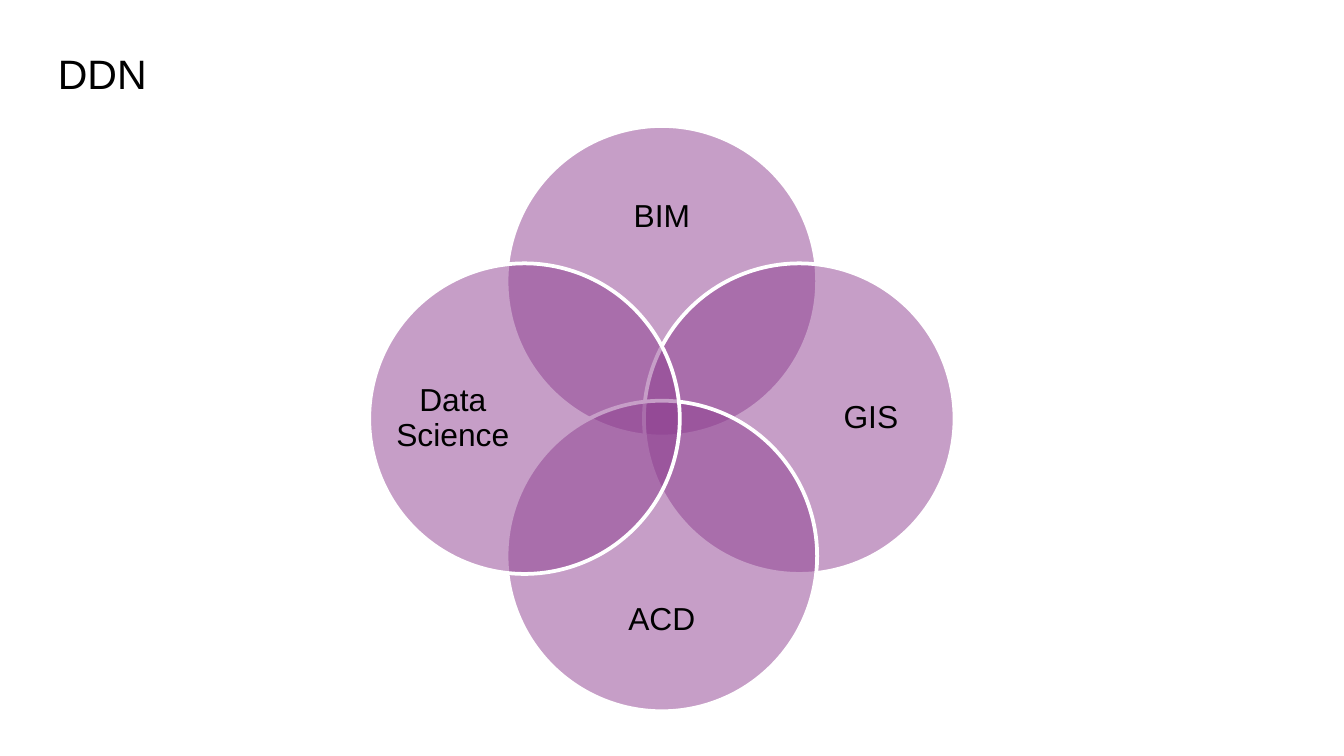
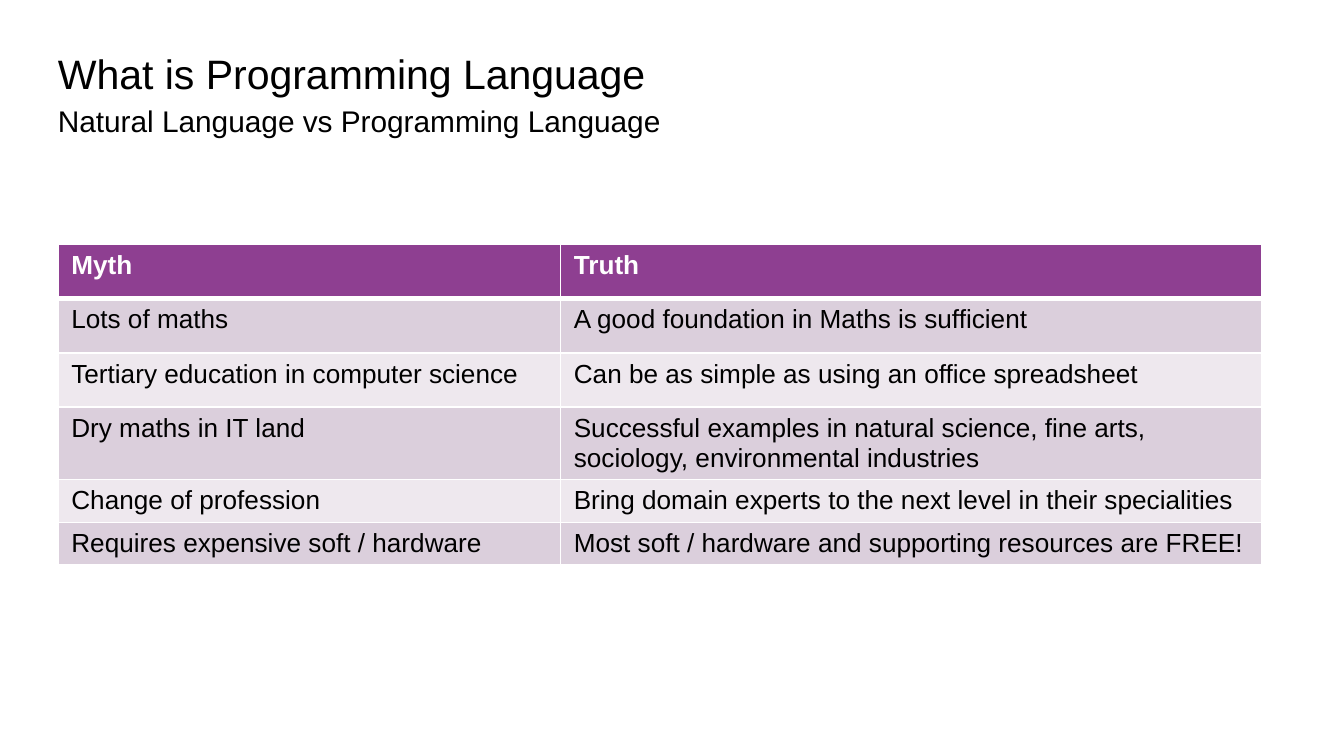
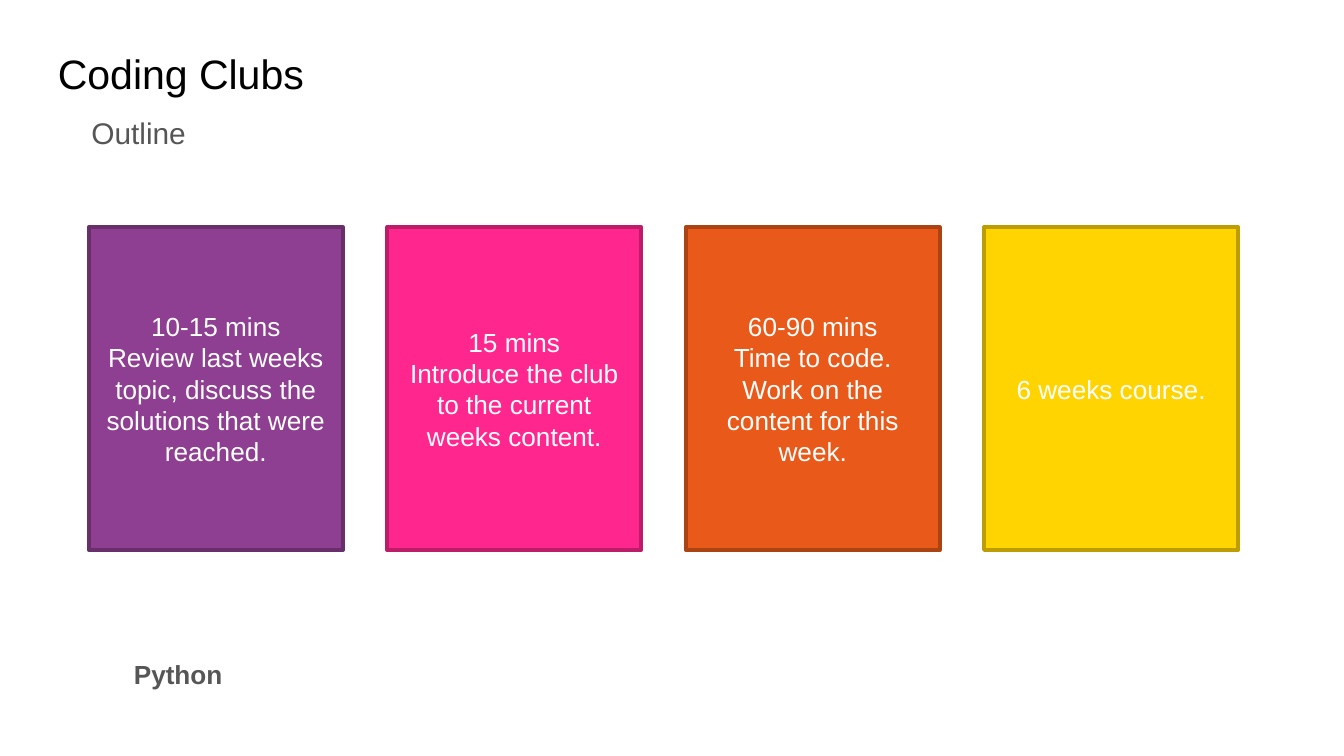
from lxml import etree
from pptx import Presentation
from pptx.dml.color import RGBColor
from pptx.enum.shapes import MSO_SHAPE
from pptx.enum.text import MSO_ANCHOR, MSO_AUTO_SIZE, PP_ALIGN
from pptx.oxml.ns import qn
from pptx.util import Pt

OVAL, RECTANGLE = MSO_SHAPE.OVAL, MSO_SHAPE.RECTANGLE
TOP, MIDDLE = MSO_ANCHOR.TOP, MSO_ANCHOR.MIDDLE
LEFT, CENTER = PP_ALIGN.LEFT, PP_ALIGN.CENTER
NO_AUTOFIT = MSO_AUTO_SIZE.NONE

FONT = "Arial"
BLACK, WHITE, GREY, PURPLE = "000000", "FFFFFF", "575656", "8E3F91"
MARGIN = 31


def color(hex_string):
    return RGBColor.from_string(hex_string)


def write(text_frame, text, size, font_color, align=LEFT, anchor=TOP, inset=None, spacing=None, bold=False):
    text_frame.text = text
    text_frame.word_wrap = True
    text_frame.auto_size = NO_AUTOFIT
    text_frame.vertical_anchor = anchor
    if inset is not None:
        text_frame.margin_left = text_frame.margin_right = Pt(inset)
        text_frame.margin_top = text_frame.margin_bottom = Pt(inset)
    for paragraph in text_frame.paragraphs:
        paragraph.alignment = align
        if spacing:
            paragraph.line_spacing = spacing
        for run in paragraph.runs:
            run.font.name = FONT
            run.font.size = Pt(size)
            run.font.bold = bold
            run.font.color.rgb = color(font_color)


presentation = Presentation()
presentation.slide_width = Pt(720)
presentation.slide_height = Pt(405)

slides = []
for heading in ["DDN", "What is Programming Language", "Coding Clubs"]:
    slide = presentation.slides.add_slide(presentation.slide_layouts[5])
    title = slide.shapes.title
    title.left, title.top, title.width, title.height = Pt(MARGIN), Pt(31), Pt(658), Pt(24)
    write(title.text_frame, heading, 22, BLACK, inset=0, spacing=0.8)
    slides.append(slide)
venn_slide, myth_slide, club_slide = slides

DIAMETER = 166.4
CENTER_X, CENTER_Y = 354.6, 224.3
CIRCLE_OFFSET = 73.6
VERTICAL_LABEL = (108, 128, 52.6)
SIDE_LABEL = (112, 64, 128)
circles = [
    ("BIM", 0, -1, VERTICAL_LABEL),
    ("GIS", 1, 0, SIDE_LABEL),
    ("ACD", 0, 1, VERTICAL_LABEL),
    ("Data Science", -1, 0, SIDE_LABEL),
]
for name, across, down, (label_offset, width, height) in circles:
    circle = venn_slide.shapes.add_shape(
        OVAL,
        Pt(CENTER_X + across * CIRCLE_OFFSET - DIAMETER / 2),
        Pt(CENTER_Y + down * CIRCLE_OFFSET - DIAMETER / 2),
        Pt(DIAMETER), Pt(DIAMETER))
    circle.shadow.inherit = False
    circle.fill.solid()
    circle.fill.fore_color.rgb = color(PURPLE)
    fill_color = circle.fill._xPr.find(qn("a:solidFill"))[0]
    etree.SubElement(fill_color, qn("a:alpha"), val="50000")
    circle.line.color.rgb = color(WHITE)
    circle.line.width = Pt(2)
    label = venn_slide.shapes.add_textbox(
        Pt(CENTER_X + across * label_offset - width / 2),
        Pt(CENTER_Y + down * label_offset - height / 2),
        Pt(width), Pt(height))
    write(label.text_frame, name, 17, BLACK, CENTER, MIDDLE, inset=0, spacing=0.9)

subtitle = myth_slide.shapes.add_textbox(Pt(MARGIN), Pt(55), Pt(646), Pt(55))
write(subtitle.text_frame, "Natural Language vs Programming Language", 16, BLACK, inset=0)

rows = [
    ("Myth", "Truth"),
    ("Lots of maths", "A good foundation in Maths is sufficient"),
    ("Tertiary education in computer science", "Can be as simple as using an office spreadsheet"),
    ("Dry maths in IT land",
     "Successful examples in natural science, fine arts, sociology, environmental industries"),
    ("Change of profession", "Bring domain experts to the next level in their specialities"),
    ("Requires expensive soft / hardware", "Most soft / hardware and supporting resources are FREE!"),
]
row_heights = [29.2] * 4 + [12.2] * 2
table = myth_slide.shapes.add_table(
    len(rows), 2, Pt(MARGIN), Pt(130.6), Pt(645), Pt(sum(row_heights))).table
table.columns[0].width = Pt(269.2)
table.columns[1].width = Pt(375.8)
for row_index, texts in enumerate(rows):
    table.rows[row_index].height = Pt(row_heights[row_index])
    header = row_index == 0
    row_fill = PURPLE if header else ["EEE8EE", "DBCFDC"][row_index % 2]
    for column_index, text in enumerate(texts):
        cell = table.cell(row_index, column_index)
        write(cell.text_frame, text, 14, WHITE if header else BLACK, bold=header)
        properties = cell._tc.get_or_add_tcPr()
        for side in ["L", "R", "T", "B"]:
            thick = (header and side == "B") or (row_index == 1 and side == "T")
            border = etree.SubElement(properties, qn("a:ln" + side), w=str(Pt(3 if thick else 1)))
            border_fill = etree.SubElement(border, qn("a:solidFill"))
            etree.SubElement(border_fill, qn("a:srgbClr"), val=WHITE)
        cell.fill.solid()
        cell.fill.fore_color.rgb = color(row_fill)

outline = club_slide.shapes.add_textbox(Pt(MARGIN), Pt(61.2), Pt(658), Pt(18))
write(outline.text_frame, "Outline", 16, GREY, inset=0)
outline_properties = outline.text_frame.paragraphs[0]._p.get_or_add_pPr()
outline_properties.set("marL", str(Pt(36)))
outline_properties.set("indent", str(Pt(-18)))

cards = [
    ("10-15 mins\nReview last weeks topic, discuss the solutions that were reached.", PURPLE, "692F6B"),
    ("15 mins\nIntroduce the club to the current weeks content.", "FF278D", "BD1D68"),
    ("60-90 mins\nTime to code.\nWork on the content for this week.", "E95A1A", "AC4313"),
    ("6 weeks course.", "FFD400", "BD9D00"),
]
for index, (text, card_fill, card_line) in enumerate(cards):
    card = club_slide.shapes.add_shape(RECTANGLE, Pt(47.5 + index * 159.9), Pt(121.7), Pt(136.2), Pt(173))
    card.shadow.inherit = False
    card.fill.solid()
    card.fill.fore_color.rgb = color(card_fill)
    card.line.color.rgb = color(card_line)
    card.line.width = Pt(2)
    write(card.text_frame, text, 14, WHITE, CENTER, MIDDLE)

language = club_slide.shapes.add_textbox(Pt(64.6), Pt(349.2), Pt(78.5), Pt(24.2))
write(language.text_frame, "Python", 14, GREY, bold=True)

presentation.save("out.pptx")
